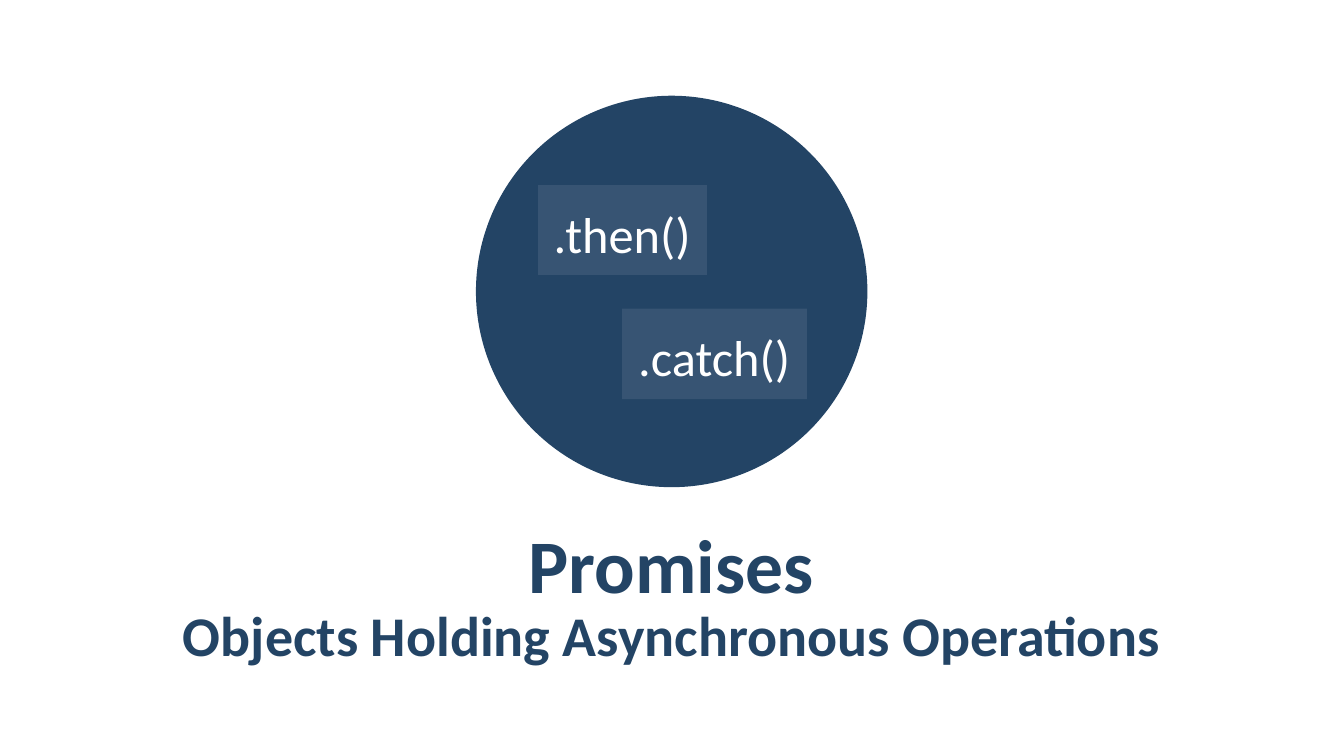
from lxml import etree
from pptx import Presentation
from pptx.dml.color import RGBColor
from pptx.enum.shapes import MSO_SHAPE as Preset
from pptx.enum.text import MSO_ANCHOR as Anchor, MSO_AUTO_SIZE as AutoSize, PP_ALIGN as Align
from pptx.oxml.ns import qn
from pptx.util import Pt

NAVY, HAZE, WHITE = "234465", "ADB4C3", "FFFFFF"


def paint(color_format, value):
    color_format.rgb = RGBColor.from_string(value)


def write(shape, text, size, color, bold=False, align=Align.LEFT, anchor=Anchor.TOP,
          insets=(0, 0), line_spacing=1.0, gap=0, wrap=True, auto_size=AutoSize.NONE):
    frame = shape.text_frame
    frame.word_wrap = wrap
    frame.auto_size = auto_size
    frame.vertical_anchor = anchor
    frame.margin_left = frame.margin_right = Pt(insets[0])
    frame.margin_top = frame.margin_bottom = Pt(insets[1])
    paragraph = frame.paragraphs[0]
    paragraph.alignment = align
    paragraph.line_spacing = line_spacing
    paragraph.space_before = paragraph.space_after = Pt(gap)
    run = paragraph.add_run()
    run.text = text
    run.font.name = "Calibri"
    run.font.size = Pt(size)
    run.font.bold = bold
    paint(run.font.color, color)


class PromiseSlide:
    def __init__(self, presentation):
        self.slide = presentation.slides.add_slide(presentation.slide_layouts[0])
        self.methods = None

    def heading(self, index, text, size, top, height):
        shape = self.slide.placeholders[index]
        shape.left, shape.top, shape.width, shape.height = map(Pt, (48.3, top, 862.5, height))
        write(shape, text, size, NAVY, bold=True, align=Align.CENTER, anchor=Anchor.MIDDLE,
              insets=(8.6, 2.9), line_spacing=1.05, gap=6)

    def block(self, shapes, preset, box, fill, opacity=100, line=None):
        shape = shapes.add_shape(preset, *map(Pt, box))
        shape.shadow.inherit = False
        shape.fill.solid()
        paint(shape.fill.fore_color, fill)
        if opacity < 100:
            color = shape.fill._xPr.find(".//" + qn("a:srgbClr"))
            etree.SubElement(color, qn("a:alpha"), val=str(opacity * 1000))
        if line:
            paint(shape.line.color, line)
            shape.line.width = Pt(1)
        else:
            shape.line.fill.background()
        return shape

    def circle(self, box):
        self.block(self.slide.shapes, Preset.OVAL, box, NAVY)

    def method(self, text, box, line=None, wrap=True):
        if self.methods is None:
            self.methods = self.slide.shapes.add_group_shape()
        shape = self.block(self.methods.shapes, Preset.RECTANGLE, box, HAZE, 15, line)
        write(shape, text, 36, WHITE, insets=(11.5, 8.6), line_spacing=1.1,
              wrap=wrap, auto_size=AutoSize.SHAPE_TO_FIT_TEXT)


def main():
    presentation = Presentation()
    presentation.slide_width, presentation.slide_height = Pt(960), Pt(540)
    page = PromiseSlide(presentation)
    page.circle((340, 68.4, 279.6, 279.6))
    page.heading(0, "Promises", 54, 370.8, 60.5)
    page.heading(1, "Objects Holding Asynchronous Operations", 40, 432, 39.6)
    page.method(".then()", (384, 132, 121.5, 64.8), line=NAVY, wrap=False)
    page.method(".catch()", (444.4, 220.4, 132, 64.8))
    presentation.save("out.pptx")


if __name__ == "__main__":
    main()
